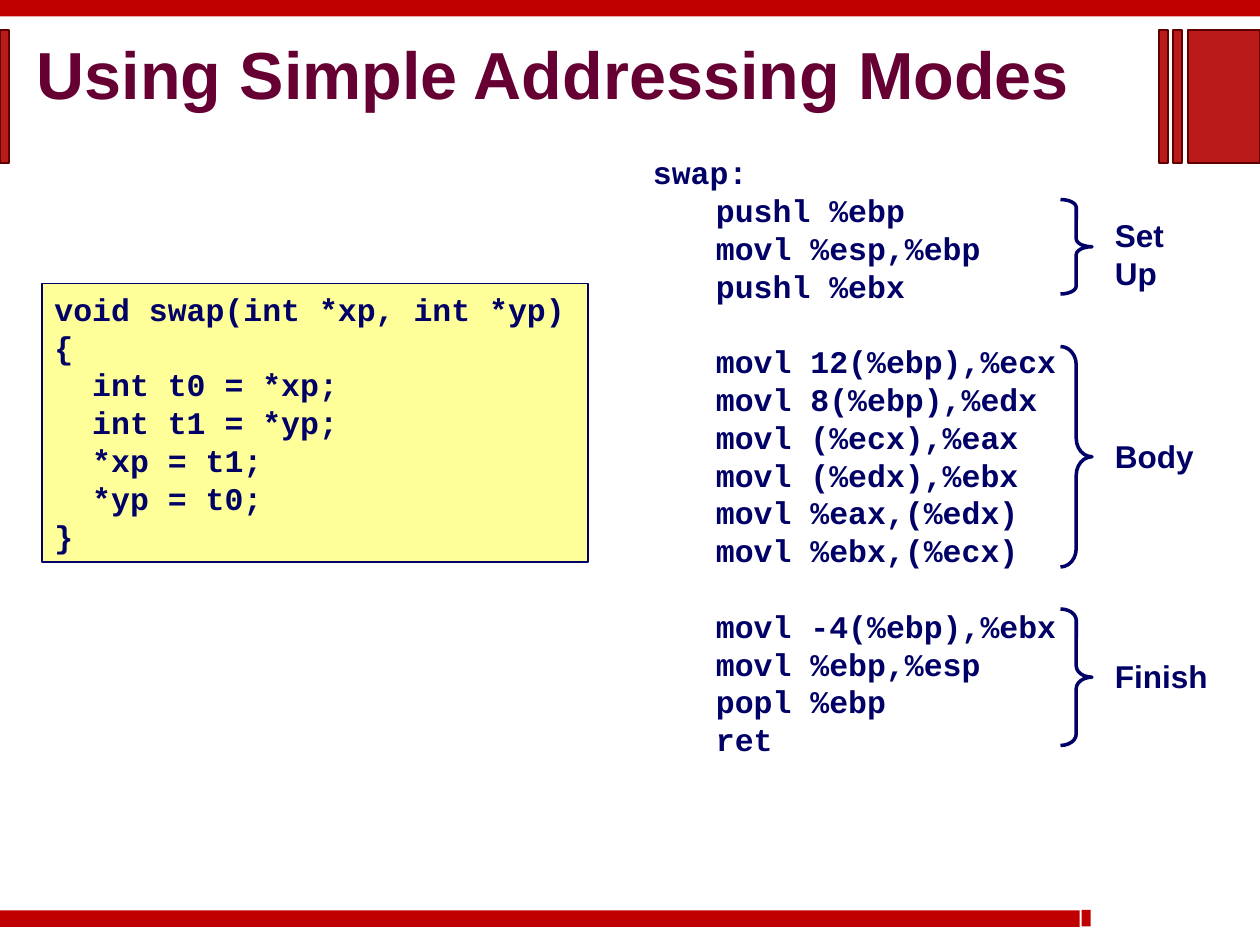
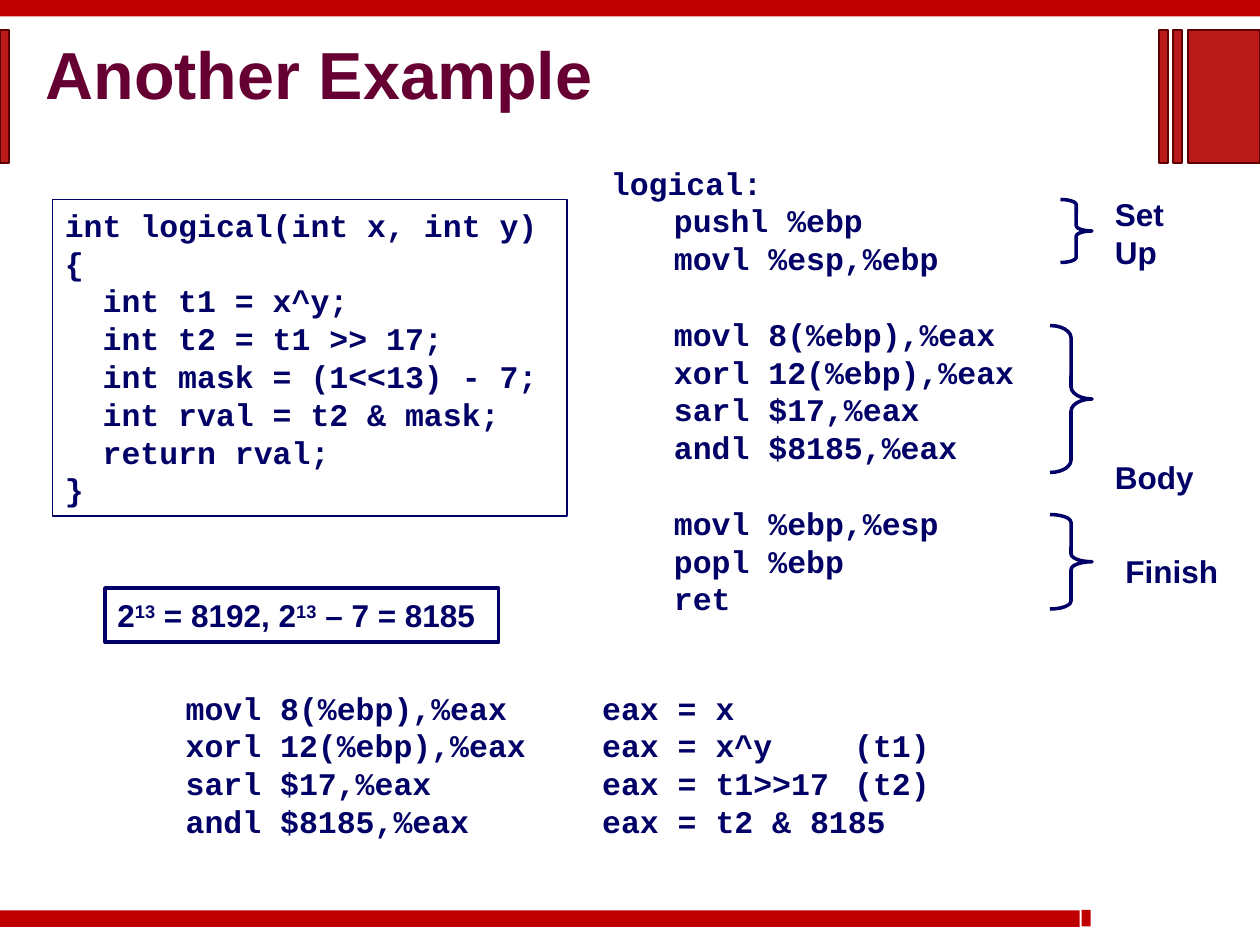
from lxml.etree import SubElement
from pptx import Presentation
from pptx.dml.color import RGBColor
from pptx.enum.shapes import MSO_SHAPE as Shape
from pptx.enum.text import MSO_ANCHOR as Anchor, PP_ALIGN as Align
from pptx.oxml.ns import qn
from pptx.util import Pt

COLORS = {
    "ink": "000066", "title": "660033", "shadow": "969696", "code": "FFFF99",
    "band": "C00000", "bar": "BA1A1A", "bar edge": "5F0000",
}
SANS, MONO = "Arial", "Courier New"
TEXT_SIZE, LINE_PITCH = 18, 21.6


def color(name):
    return RGBColor.from_string(COLORS[name])


def add_box(shapes, kind, box, fill=None, line=None, line_width=1):
    """Preset shape with an optional fill and outline."""
    shape = shapes.add_shape(kind, *map(Pt, box))
    shape.shadow.inherit = False
    if fill:
        shape.fill.solid()
        shape.fill.fore_color.rgb = color(fill)
    else:
        shape.fill.background()
    if line:
        shape.line.color.rgb = color(line)
        shape.line.width = Pt(line_width)
    else:
        shape.line.fill.background()
    return shape


def format_paragraph(paragraph, font_name, tabs=(), gap=0):
    if tabs:
        tab_list = SubElement(paragraph._p.get_or_add_pPr(), qn("a:tabLst"))
        for position in tabs:
            SubElement(tab_list, qn("a:tab"), pos=str(Pt(position)), algn="l")
    paragraph.alignment = Align.LEFT
    paragraph.line_spacing = Pt(LINE_PITCH)
    if gap:
        paragraph.space_before = Pt(gap)
    font = paragraph.font
    font.name, font.size, font.bold = font_name, Pt(TEXT_SIZE), True
    font.color.rgb = color("ink")


def write_groups(shape, groups, font_name, tabs=(), wrap=True):
    """Fill a shape with groups of lines, one line of space between groups."""
    frame = shape.text_frame
    frame.word_wrap, frame.vertical_anchor = wrap, Anchor.TOP
    paragraph = frame.paragraphs[0]
    for group_index, group in enumerate(groups):
        for line_index, line in enumerate(group):
            first_in_group = line_index == 0
            if group_index or line_index:
                paragraph = frame.add_paragraph()
            paragraph.add_run().text = line
            gap = LINE_PITCH if group_index and first_in_group else 0
            format_paragraph(paragraph, font_name, tabs, gap)


def add_title(slide, text, box):
    title = slide.shapes.title
    title.left, title.top, title.width, title.height = map(Pt, box)
    frame = title.text_frame
    frame.margin_left = frame.margin_right = frame.margin_top = frame.margin_bottom = 0
    frame.word_wrap, frame.vertical_anchor = True, Anchor.MIDDLE
    paragraph = frame.paragraphs[0]
    paragraph.alignment, paragraph.line_spacing = Align.LEFT, 0.87
    run = paragraph.add_run()
    run.text = text
    font = run.font
    font.size, font.bold = Pt(38), True
    font.color.rgb = color("title")
    # Text shadow
    effects = SubElement(run._r.get_or_add_rPr(), qn("a:effectLst"))
    shadow = SubElement(effects, qn("a:outerShdw"), dist=str(Pt(3)), dir="2700000")
    SubElement(shadow, qn("a:srgbClr"), val=COLORS["shadow"])
    font.name = SANS


def add_bands(slide):
    """Top and bottom bands and the bars beside the title."""
    shapes = slide.shapes.add_group_shape().shapes
    for box in ((0, 0, 720, 9.4), (0, 520.3, 617, 9.4), (618, 520, 5.2, 9.4)):
        add_box(shapes, Shape.RECTANGLE, box, "band")
    for left, width in ((0, 5.2), (679, 41), (670.4, 5.2), (662.2, 5.2)):
        add_box(shapes, Shape.RECTANGLE, (left, 17.2, width, 76.2), "bar", "bar edge")


def add_code(slide, code, box, fill=None):
    shape = add_box(slide.shapes, Shape.RECTANGLE, box, fill, "ink")
    write_groups(shape, [code.splitlines()], MONO)


def add_assembly(slide, box, label, phases):
    groups = [["\t" + line for line in phase] for phase in phases]
    groups[0].insert(0, label)
    textbox = slide.shapes.add_textbox(*map(Pt, box))
    write_groups(textbox, groups, MONO, tabs=(36,))


def add_phase(slide, brace_box, lines, label_left, label_top, label_width):
    """Brace with the name of the phase to its right."""
    width, height = brace_box[2:]
    brace = add_box(slide.shapes, Shape.RIGHT_BRACE, brace_box, None, "ink", 2)
    brace.adjustments[0] = height / width / 12
    label_height = len(lines) * LINE_PITCH + 7.2
    label = slide.shapes.add_textbox(
        *map(Pt, (label_left, label_top, label_width, label_height)))
    write_groups(label, [lines], SANS, wrap=False)


def add_power_note(slide, box):
    note = add_box(slide.shapes, Shape.RECTANGLE, box, None, "ink", 2)
    frame = note.text_frame
    frame.word_wrap = False
    paragraph = frame.paragraphs[0]
    format_paragraph(paragraph, SANS)
    for index, text in enumerate(("2", "13", " = 8192, 2", "13", " – 7 = 8185")):
        run = paragraph.add_run()
        run.text = text
        if index % 2:
            run.font._element.set("baseline", "30000")


def add_trace(slide, box, steps):
    """Instructions, their result and the variable it stands for."""
    textbox = slide.shapes.add_textbox(*map(Pt, box))
    lines = ["\t" + "\t".join(step) for step in steps]
    write_groups(textbox, [lines], MONO, tabs=(9, 247, 391))


def new_slide(presentation, title, title_box):
    slide = presentation.slides.add_slide(presentation.slide_layouts[5])
    add_title(slide, title, title_box)
    return slide


def build_swap_slide(presentation):
    slide = new_slide(presentation, "Using Simple Addressing Modes", (21, 22.5, 603.5, 45))
    add_code(slide, """void swap(int *xp, int *yp)
{
  int t0 = *xp;
  int t1 = *yp;
  *xp = t1;
  *yp = t0;
}""", (24, 162, 312, 159), "code")
    add_assembly(slide, (366, 84, 264, 353), "swap:", [
        ["pushl %ebp", "movl %esp,%ebp", "pushl %ebx"],
        ["movl 12(%ebp),%ecx", "movl 8(%ebp),%edx", "movl (%ecx),%eax",
         "movl (%edx),%ebx", "movl %eax,(%edx)", "movl %ebx,(%ecx)"],
        ["movl -4(%ebp),%ebx", "movl %ebp,%esp", "popl %ebp", "ret"],
    ])
    add_phase(slide, (606, 114, 18, 54), ["Set", "Up"], 630, 120, 42.5)
    add_phase(slide, (606, 198, 18, 126), ["Body"], 630, 246, 60)
    add_phase(slide, (606, 348, 18, 78), ["Finish"], 630, 372, 67.5)
    add_bands(slide)


def build_logical_slide(presentation):
    slide = new_slide(presentation, "Another Example", (26, 22.5, 408, 45))
    add_code(slide, """int logical(int x, int y)
{
  int t1 = x^y;
  int t2 = t1 >> 17;
  int mask = (1<<13) - 7;
  int rval = t2 & mask;
  return rval;
}""", (30, 114, 294, 181))
    body = ["movl 8(%ebp),%eax", "xorl 12(%ebp),%eax", "sarl $17,%eax", "andl $8185,%eax"]
    add_assembly(slide, (342, 90, 324, 266.5), "logical:", [
        ["pushl %ebp", "movl %esp,%ebp"],
        body,
        ["movl %ebp,%esp", "popl %ebp", "ret"],
    ])
    add_phase(slide, (606, 114, 18, 36), ["Set", "Up"], 630, 108, 42.5)
    add_phase(slide, (600, 186, 24, 84), ["Body"], 630, 258, 60)
    add_phase(slide, (600, 294, 24, 54), ["Finish"], 636, 312, 67.5)
    results = [("eax = x",), ("eax = x^y", "(t1)"), ("eax = t1>>17", "(t2)"),
               ("eax = t2 & 8185",)]
    add_trace(slide, (90, 390, 510, 93.6),
              [(line, *result) for line, result in zip(body, results)])
    add_power_note(slide, (60, 336, 225, 31))
    add_bands(slide)


def main():
    presentation = Presentation()
    presentation.slide_width, presentation.slide_height = Pt(720), Pt(540)
    build_swap_slide(presentation)
    build_logical_slide(presentation)
    presentation.save("out.pptx")


if __name__ == "__main__":
    main()
